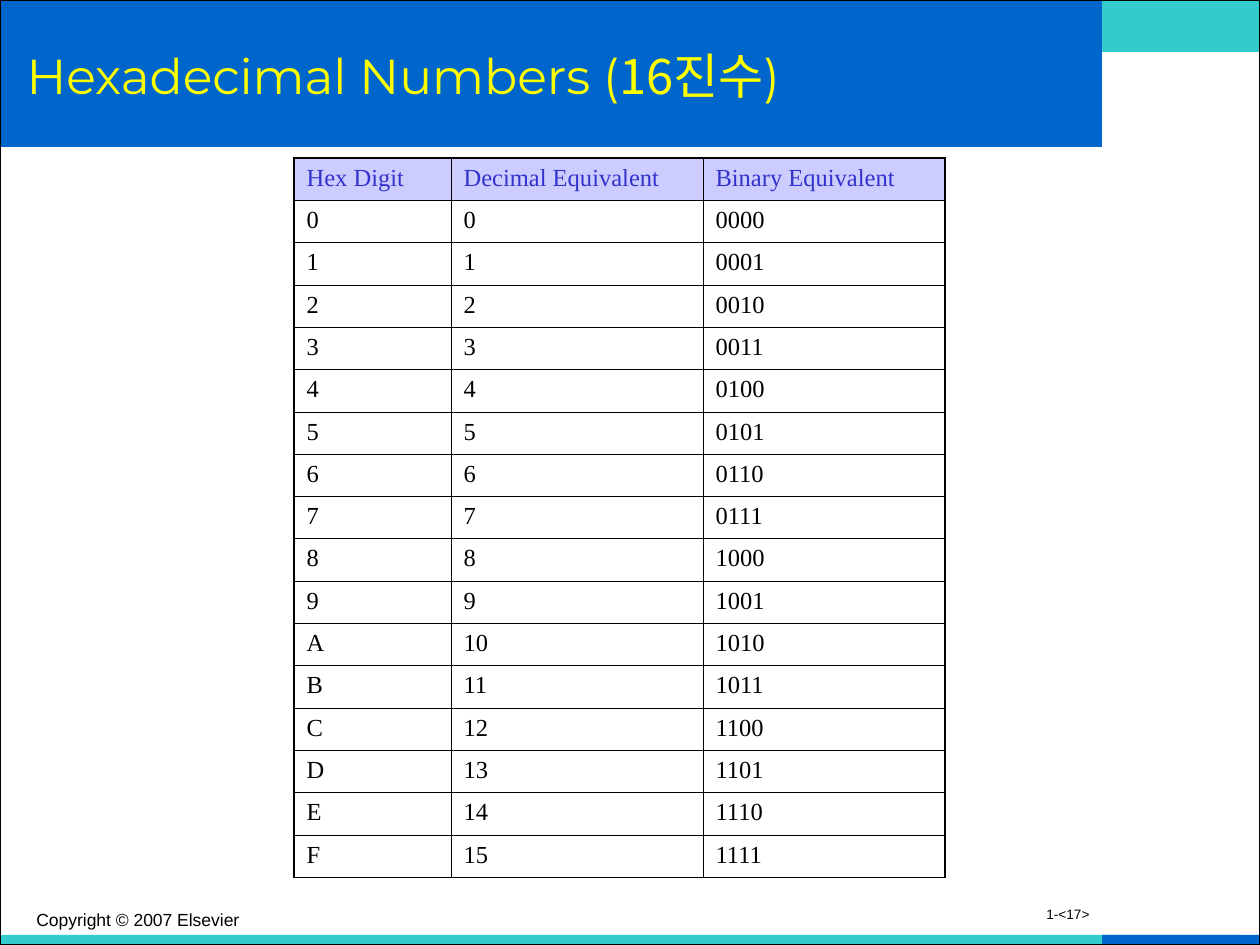
import pptx
import pptx.util
import pptx.dml.color
import pptx.enum.shapes
import pptx.enum.text
import pptx.oxml.ns
from lxml import etree

TITLE = [("Hexadecimal Numbers (", "latin"), ("16진수", "korean"), (")", "latin")]
HEADERS = ["Hex Digit", "Decimal Equivalent", "Binary Equivalent"]
ROWS = [HEADERS] + [[f"{n:X}", str(n), f"{n:04b}"] for n in range(16)]

THEME = {
    "blue": "0066CC", "teal": "33CCCC", "black": "000000",
    "title": "FFFF00", "header_text": "3333CC", "header_fill": "CCCCFF",
    "latin": "Montserrat", "korean": "Noto Sans CJK KR",
    "table_font": "Times New Roman", "footer_font": "Arial",
    "title_pt": 28, "table_pt": 14, "copyright_pt": 10, "number_pt": 7.8,
    "outer_pt": 1.08, "inner_pt": 0.45, "frame_pt": 0.75,
}

SLIDE = (1260, 945)
BANDS = [
    ((1102, 0, 158, 52), "teal"),
    ((0, 935, 1239, 10), "teal"),
    ((1102, 935, 158, 10), "blue"),
    ((0, 0, 1102, 147), "blue"),
]
TITLE_BOX = (14, 14, 1071, 122)
TABLE_BOX = (294, 158, 651, 720)
COLUMNS = [157, 252, 242]
ALIGN = pptx.enum.text.PP_ALIGN
FOOTERS = [
    ("Copyright © 2007 Elsevier", (24, 903, 400, 32), "copyright_pt", ALIGN.LEFT, 1.0),
    ("1-<17>", (840, 903, 262, 32), "number_pt", ALIGN.RIGHT, 0.8),
]


def px(n):
    return pptx.util.Emu(round(n * 914400 / 126))


def color(name):
    return pptx.dml.color.RGBColor.from_string(THEME[name])


def style(r, font, size, fill):
    r.font.name = THEME[font]
    r.font.size = pptx.util.Pt(THEME[size])
    r.font.bold = False
    r.font.color.rgb = color(fill)


def add_rect(s, box, fill=None):
    sp = s.shapes.add_shape(pptx.enum.shapes.MSO_SHAPE.RECTANGLE, *map(px, box))
    sp.shadow.inherit = False
    if fill:
        sp.fill.solid()
        sp.fill.fore_color.rgb = color(fill)
        sp.line.fill.background()
    else:
        sp.fill.background()
        sp.line.color.rgb = color("black")
        sp.line.width = pptx.util.Pt(THEME["frame_pt"])


def add_title(s):
    sp = s.shapes.title
    sp.element.getparent().append(sp.element)
    sp.left, sp.top, sp.width, sp.height = map(px, TITLE_BOX)
    tf = sp.text_frame
    tf.vertical_anchor = pptx.enum.text.MSO_ANCHOR.MIDDLE
    p = tf.paragraphs[0]
    p.alignment = ALIGN.LEFT
    for text, font in TITLE:
        r = p.add_run()
        r.text = text
        style(r, font, "title_pt", "title")
        ea = etree.SubElement(r.font._element, pptx.oxml.ns.qn("a:ea"))
        ea.set("typeface", THEME[font])


def set_borders(cell, outer):
    tc_pr = cell._tc.get_or_add_tcPr()
    for i, side in enumerate("LRTB"):
        width = THEME["outer_pt" if side in outer else "inner_pt"]
        ln = etree.Element(pptx.oxml.ns.qn(f"a:ln{side}"), w=str(pptx.util.Pt(width)))
        fill = etree.SubElement(ln, pptx.oxml.ns.qn("a:solidFill"))
        etree.SubElement(fill, pptx.oxml.ns.qn("a:srgbClr"), val=THEME["black"])
        tc_pr.insert(i, ln)


def add_table(s):
    last_row, last_col = len(ROWS) - 1, len(COLUMNS) - 1
    table = s.shapes.add_table(len(ROWS), len(COLUMNS), *map(px, TABLE_BOX)).table
    table.horz_banding = False
    for column, width in zip(table.columns, COLUMNS):
        column.width = px(width)
    for i, values in enumerate(ROWS):
        table.rows[i].height = px(TABLE_BOX[3] / len(ROWS))
        for j, value in enumerate(values):
            cell = table.cell(i, j)
            cell.text_frame.text = value
            style(cell.text_frame.paragraphs[0].runs[0], "table_font", "table_pt",
                  "black" if i else "header_text")
            if i:
                cell.fill.background()
            else:
                cell.fill.solid()
                cell.fill.fore_color.rgb = color("header_fill")
            edges = {"L": j == 0, "R": j == last_col, "T": i == 0, "B": i == last_row}
            set_borders(cell, [side for side, outer in edges.items() if outer])


def add_footer(s, text, box, size, align, spacing):
    tf = s.shapes.add_textbox(*map(px, box)).text_frame
    tf.word_wrap = True
    tf.text = text
    p = tf.paragraphs[0]
    p.alignment = align
    p.line_spacing = spacing
    style(p.runs[0], "footer_font", size, "black")


def main():
    prs = pptx.Presentation()
    prs.slide_width, prs.slide_height = map(px, SLIDE)
    s = prs.slides.add_slide(prs.slide_layouts[5])
    for box, fill in BANDS:
        add_rect(s, box, fill)
    add_rect(s, (0, 0, *SLIDE))
    add_title(s)
    add_table(s)
    for footer in FOOTERS:
        add_footer(s, *footer)
    prs.save("out.pptx")


if __name__ == "__main__":
    main()
